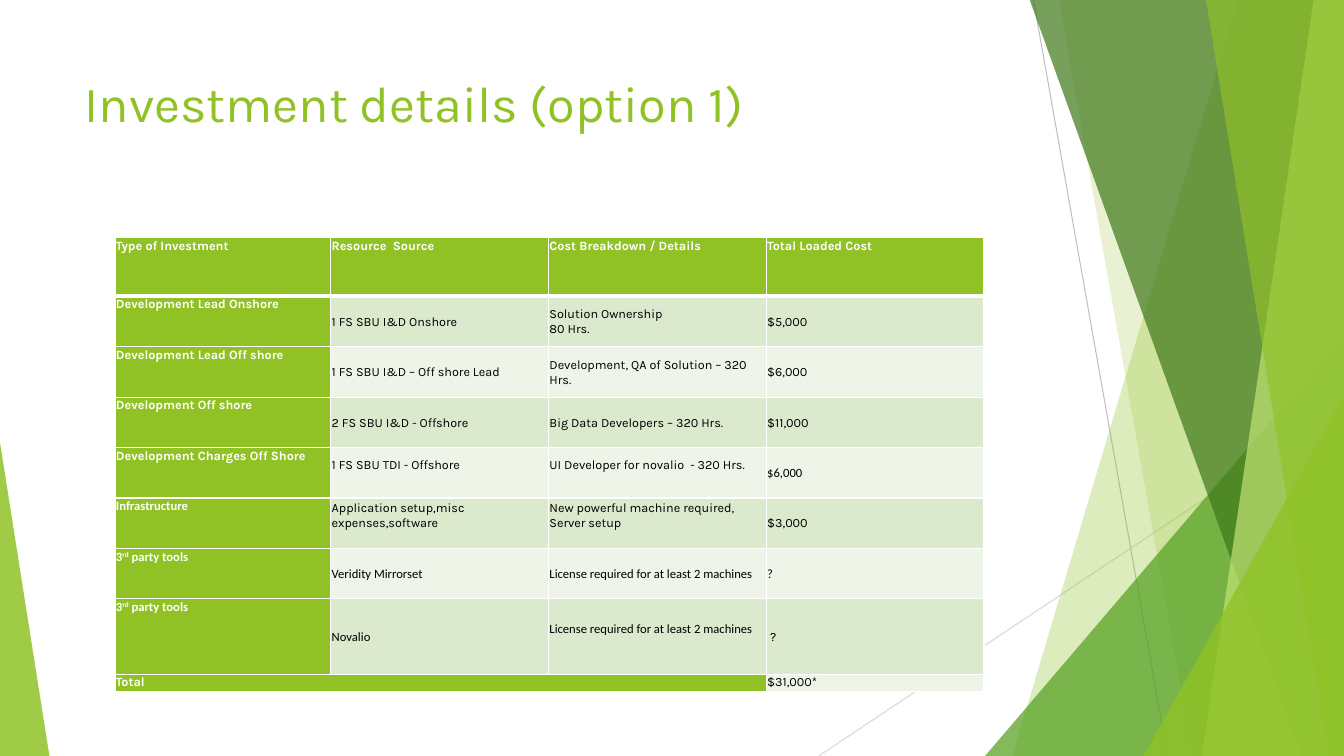
from dataclasses import dataclass

from lxml import etree
from pptx import Presentation
from pptx.dml.color import RGBColor
from pptx.enum.shapes import MSO_CONNECTOR, MSO_SHAPE
from pptx.enum.text import MSO_ANCHOR
from pptx.oxml.ns import qn
from pptx.util import Inches, Pt

STRAIGHT = MSO_CONNECTOR.STRAIGHT
TRIANGLE = MSO_SHAPE.ISOSCELES_TRIANGLE
TOP, MIDDLE = MSO_ANCHOR.TOP, MSO_ANCHOR.MIDDLE
WIDTH, HEIGHT, FACET_TOP = 13.33, 7.5, -0.01
GREEN, WHITE, BLACK = "90C226", "FFFFFF", "000000"
BANDS = ("EEF4E8", "DBE9CD")
KARLA, CALIBRI = "Karla", "Calibri"
MARGIN, LIFT = 0.01, 0.15


@dataclass
class Ray:
    start: tuple[float, float]
    end: tuple[float, float]
    color: str


@dataclass
class Facet:
    top_left: float
    bottom_left: float
    color: str
    opacity: int


@dataclass
class Corner:
    left: float
    top: float
    width: float
    apex: int
    color: str
    opacity: int


@dataclass
class Entry:
    text: str
    font: str = KARLA
    lift: float = 0


@dataclass
class Investment:
    label: Entry
    details: tuple[Entry, Entry, Entry]


RAYS = (
    Ray((10.25, 0), (11.58, HEIGHT), "BFBFBF"),
    Ray((WIDTH, 4.03), (8.12, HEIGHT), "D9D9D9"),
)
DECORATION = (
    Facet(12.28, 10.04, GREEN, 30),
    Facet(10.5, 11.83, GREEN, 20),
    Corner(9.77, 3.33, 3.56, 1, "54A021", 72),
    Facet(10.21, 12.91, "3F7819", 70),
    Facet(13.03, 11.92, "C0E474", 70),
    Facet(11.96, 13.18, GREEN, 65),
    Corner(11.34, 3.93, 1.99, 1, GREEN, 80),
    Corner(0, 4.39, 0.49, 0, GREEN, 85),
)
HEADERS = ("Type of Investment ", "Resource\u00a0 Source", "Cost Breakdown / Details", "Total Loaded Cost")
LICENSE = "License required for at least 2 machines"
INVESTMENTS = (
    Investment(Entry("Development Lead Onshore"), (
        Entry("1 FS SBU I&D Onshore"), Entry("Solution Ownership\n80 Hrs."), Entry("$5,000"))),
    Investment(Entry("Development Lead Off shore"), (
        Entry("1 FS SBU I&D – Off shore Lead"),
        Entry("Development, QA of Solution – 320 Hrs."), Entry("$6,000"))),
    Investment(Entry("Development Off shore"), (
        Entry("2 FS SBU I&D - Offshore"), Entry("Big Data Developers – 320 Hrs."), Entry("$11,000"))),
    Investment(Entry("Development Charges Off Shore"), (
        Entry("1 FS SBU TDI - Offshore", lift=LIFT),
        Entry("UI Developer for novalio  - 320 Hrs.", lift=LIFT), Entry("$6,000", CALIBRI))),
    Investment(Entry("Infrastructure", CALIBRI), (
        Entry("Application setup,misc expenses,software", lift=LIFT),
        Entry("New powerful machine required, Server setup", lift=LIFT), Entry("$3,000"))),
    Investment(Entry("3^rd^ party tools", CALIBRI), (
        Entry("Veridity Mirrorset", CALIBRI), Entry(LICENSE, CALIBRI), Entry("?", CALIBRI))),
    Investment(Entry("3^rd^ party tools", CALIBRI), (
        Entry("Novalio", CALIBRI), Entry(LICENSE, CALIBRI, LIFT), Entry(" ?"))),
)
COLUMN_WIDTHS = (2.14, 2.16, 2.16, 2.16)
ROW_HEIGHTS = (0.58, *[0.5] * 6, 0.75, 0.17)


def rgb(color: str) -> RGBColor:
    """Turn a hex string into a colour."""
    return RGBColor.from_string(color)


def write(frame, text: str, *, font: str = KARLA, size: float = 9,
          color: str = BLACK, bold: bool = False) -> None:
    """Write lines of text, raising the parts between carets."""
    frame.word_wrap = True
    for index, line in enumerate(text.split("\n")):
        paragraph = frame.add_paragraph() if index else frame.paragraphs[0]
        for position, part in enumerate(line.split("^")):
            run = paragraph.add_run()
            run.text = part
            run.font.name, run.font.size, run.font.bold = font, Pt(size), bold
            run.font.color.rgb = rgb(color)
            if position % 2:
                run._r.get_or_add_rPr().set("baseline", "30000")


def draw_ray(slide, ray: Ray) -> None:
    """Draw a thin line without shadow."""
    connector = slide.shapes.add_connector(STRAIGHT, *map(Inches, ray.start + ray.end))
    connector.line.color.rgb = rgb(ray.color)
    connector.line.width = Pt(0.75)
    etree.SubElement(connector._element.spPr, qn("a:effectLst"))


def draw_decoration(slide, item: Facet | Corner) -> None:
    """Draw a translucent facet reaching the right edge, or a corner triangle."""
    if isinstance(item, Facet):
        builder = slide.shapes.build_freeform(
            Inches(item.top_left), Inches(FACET_TOP), scale=1.0)
        outline = ((WIDTH, FACET_TOP), (WIDTH, HEIGHT), (item.bottom_left, HEIGHT))
        builder.add_line_segments([(Inches(x), Inches(y)) for x, y in outline])
        shape = builder.convert_to_shape()
    else:
        shape = slide.shapes.add_shape(
            TRIANGLE, Inches(item.left), Inches(item.top),
            Inches(item.width), Inches(HEIGHT - item.top))
        shape.adjustments[0] = item.apex
    shape.shadow.inherit = False
    shape.line.fill.background()
    shape.fill.solid()
    shape.fill.fore_color.rgb = rgb(item.color)
    color_element = shape._element.spPr.find(qn("a:solidFill"))[0]
    etree.SubElement(color_element, qn("a:alpha"), val=str(item.opacity * 1000))


def fill_cell(cell, entry: Entry, *, fill: str, color: str = BLACK, bold: bool = False,
              anchor=TOP, top: float = 1, bottom: float = 1) -> None:
    """Fill a table cell and give it white borders."""
    cell.margin_left = cell.margin_right = cell.margin_top = Inches(MARGIN)
    cell.margin_bottom = Inches(entry.lift)
    cell.vertical_anchor = anchor
    cell.fill.solid()
    cell.fill.fore_color.rgb = rgb(fill)
    properties = cell._tc.get_or_add_tcPr()
    borders = {"a:lnL": 1, "a:lnR": 1, "a:lnT": top, "a:lnB": bottom}
    for index, (side, width) in enumerate(borders.items()):
        border = etree.Element(qn(side), w=str(Pt(width)))
        solid = etree.SubElement(border, qn("a:solidFill"))
        etree.SubElement(solid, qn("a:srgbClr"), val=WHITE)
        properties.insert(index, border)
    if entry.text:
        write(cell.text_frame, entry.text, font=entry.font, color=color, bold=bold)


def draw_table(slide) -> None:
    """Draw the investment table."""
    table = slide.shapes.add_table(
        len(ROW_HEIGHTS), len(COLUMN_WIDTHS), Inches(1.14), Inches(2.36),
        Inches(sum(COLUMN_WIDTHS)), Inches(sum(ROW_HEIGHTS))).table
    table.horz_banding = False
    for column, width in zip(table.columns, COLUMN_WIDTHS):
        column.width = Inches(width)
    for row, height in zip(table.rows, ROW_HEIGHTS):
        row.height = Inches(height)
    heading = {"fill": GREEN, "color": WHITE, "bold": True}
    for column, header in enumerate(HEADERS):
        fill_cell(table.cell(0, column), Entry(header), bottom=3, **heading)
    for row, investment in enumerate(INVESTMENTS, start=1):
        top = 3 if row == 1 else 1
        fill_cell(table.cell(row, 0), investment.label, top=top, **heading)
        for column, entry in enumerate(investment.details, start=1):
            fill_cell(table.cell(row, column), entry, fill=BANDS[row % 2], anchor=MIDDLE, top=top)
    last = len(ROW_HEIGHTS) - 1
    for column, text in enumerate(("Total ", "", "")):
        fill_cell(table.cell(last, column), Entry(text), **heading)
    table.cell(last, 0).merge(table.cell(last, 2))
    fill_cell(table.cell(last, 3), Entry("$31,000*"), fill=BANDS[0])


def main() -> None:
    """Build and save the slide."""
    presentation = Presentation()
    presentation.slide_width, presentation.slide_height = Inches(WIDTH), Inches(HEIGHT)
    slide = presentation.slides.add_slide(presentation.slide_layouts[6])
    for ray in RAYS:
        draw_ray(slide, ray)
    for item in DECORATION:
        draw_decoration(slide, item)
    title = slide.shapes.add_textbox(Inches(0.74), Inches(0.67), Inches(9.4), Inches(1.44))
    write(title.text_frame, "Investment details (option 1)", size=36, color=GREEN)
    draw_table(slide)
    presentation.save("out.pptx")


main()
